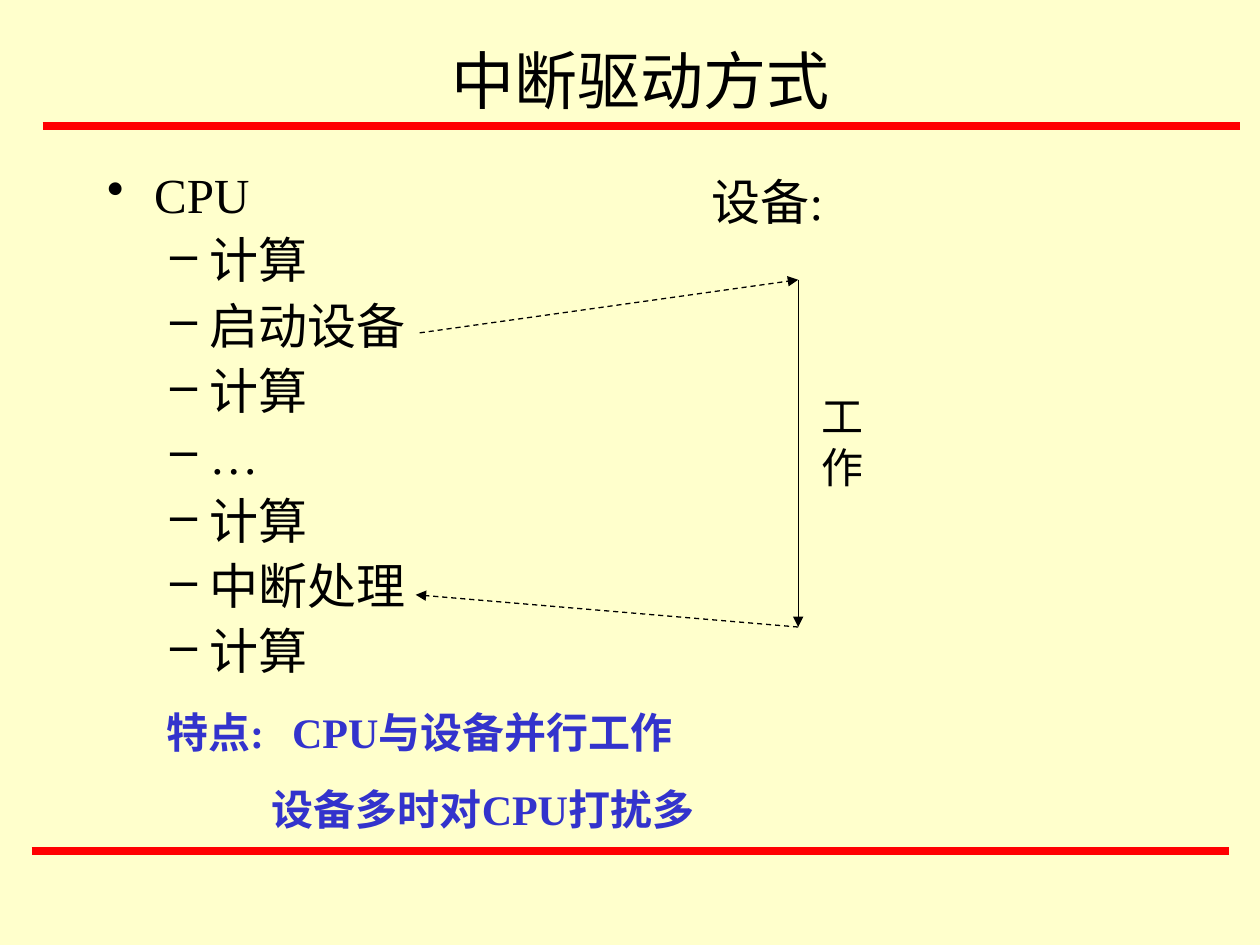
from lxml import etree
from pptx import Presentation
from pptx import util as u
from pptx.dml.color import RGBColor
from pptx.enum import dml, shapes, text
from pptx.oxml import ns

BLACK = RGBColor(0x00, 0x00, 0x00)
RED = RGBColor(0xFF, 0x00, 0x00)
BLUE = RGBColor(0x33, 0x33, 0xCC)
CREAM = RGBColor(0xFF, 0xFF, 0xCC)
CPU_STEPS = ["计算", "启动设备", "计算", "…", "计算", "中断处理", "计算"]


def add_child(parent, tag, **attributes):
    return etree.SubElement(parent, ns.qn(tag), attributes)


def indent(para, left, first=0):
    """Set the left margin and first-line offset in centimetres."""
    properties = para._p.get_or_add_pPr()
    properties.set("marL", str(u.Cm(left)))
    properties.set("indent", str(u.Cm(first)))
    return properties


class SlideBuilder:
    font = "Times New Roman"

    def __init__(self, deck):
        self.slide = deck.slides.add_slide(deck.slide_layouts[5])
        fill = self.slide.background.fill
        fill.solid()
        fill.fore_color.rgb = CREAM

    def style(self, para, size, color=BLACK, bold=False):
        for span in para.runs:
            span.font.name = self.font
            span.font.size = u.Pt(size)
            span.font.color.rgb = color
            span.font.bold = bold

    def title(self, words, left, top, width, height):
        box = self.slide.shapes.title
        box.left, box.top, box.width, box.height = map(u.Cm, (left, top, width, height))
        box.text_frame.text = words
        box.text_frame.vertical_anchor = text.MSO_ANCHOR.MIDDLE
        para = box.text_frame.paragraphs[0]
        para.alignment = text.PP_ALIGN.CENTER
        self.style(para, 36)

    def text(self, lines, left, top, width, height, size, before, color=BLACK, bold=False):
        box = self.slide.shapes.add_textbox(*map(u.Cm, (left, top, width, height)))
        frame = box.text_frame
        frame.word_wrap = True
        frame.text = "\n".join(lines)
        for para in frame.paragraphs:
            para.space_before = u.Pt(before)
            self.style(para, size, color, bold)
        return frame.paragraphs

    def outline(self, heading, items, left, top, width, height):
        paras = self.text([heading, *items], left, top, width, height, 28, 7)
        for index, para in enumerate(paras):
            para.line_spacing = 0.9
            para.level = min(index, 1)
            properties = indent(para, 2.06, -0.79) if index else indent(para, 0.95, -0.95)
            add_child(properties, "a:buChar", char="–" if index else "•")

    def line(self, start, end, color=BLACK, width=0.75, dashed=False, arrow=False):
        line = self.slide.shapes.add_connector(
            shapes.MSO_CONNECTOR.STRAIGHT, *map(u.Cm, (*start, *end)))
        line.line.color.rgb = color
        line.line.width = u.Pt(width)
        if dashed:
            line.line.dash_style = dml.MSO_LINE.DASH
        if arrow:
            add_child(line.line._get_or_add_ln(), "a:tailEnd", type="triangle")
        add_child(line._element.spPr, "a:effectLst")


def main():
    deck = Presentation()
    deck.slide_width, deck.slide_height = u.Cm(25.4), u.Cm(19.05)
    page = SlideBuilder(deck)

    for left, top in ((0.64, 17.15), (0.86, 2.54)):
        page.line((left, top), (left + 24.13, top), RED, 4.5)
    page.title("中断驱动方式", 2.11, 0, 21.59, 3.18)
    page.outline("CPU", CPU_STEPS, 1.91, 3.33, 9.32, 11.43)

    page.text(["设备:"], 14.1, 3.33, 3.18, 1.45, 28, 17.5)
    page.text(["工作"], 16.31, 7.75, 1.91, 2.29, 24, 15)
    work_start, work_end = (16.09, 5.64), (16.09, 12.64)
    page.line(work_start, work_end, arrow=True)
    page.line((8.46, 6.71), work_start, dashed=True, arrow=True)
    page.line(work_end, (8.38, 11.99), dashed=True, arrow=True)

    features = page.text(["特点:\tCPU与设备并行工作", "设备多时对CPU打扰多"],
                         3.1, 14.12, 13.34, 2.82, 24, 15, BLUE, True)
    indent(features[1], 2.13)
    deck.save("out.pptx")


if __name__ == "__main__":
    main()
